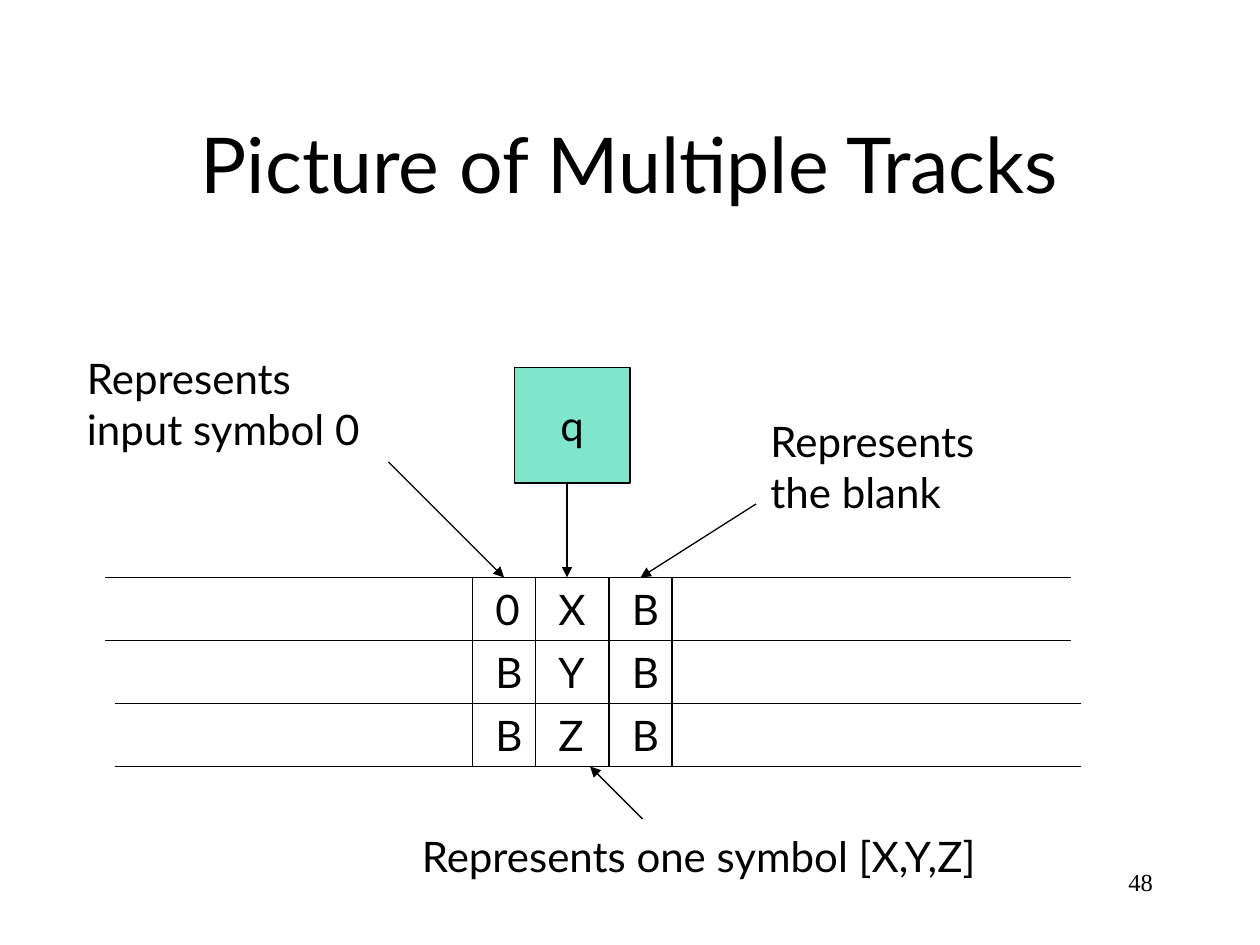
import pptx
import pptx.util
import pptx.dml.color
import pptx.enum.shapes
import pptx.enum.text
import pptx.oxml
import pptx.oxml.ns

HUES = {"ink": "000000", "state": "00CC99"}
UNIT = pptx.util.Inches(1) / 12
ALIGN = pptx.enum.text.PP_ALIGN
ANCHOR = pptx.enum.text.MSO_ANCHOR
FIT = pptx.enum.text.MSO_AUTO_SIZE


def grid(*cells):
    """Turn grid counts (120 columns by 90 rows) into lengths."""
    return [round(cell * UNIT) for cell in cells]


def hue(name):
    """Look up a named colour."""
    return pptx.dml.color.RGBColor.from_string(HUES[name])


def child(node, tag, **attrs):
    """Append a drawing element to an XML node."""
    item = pptx.oxml.ns.qn("a:" + tag)
    item = node.makeelement(item, attrs)
    node.append(item)


def write(shape, text, size=24, font="Lato", align=ALIGN.LEFT,
          anchor=ANCHOR.TOP, wrap=False, fit=FIT.NONE):
    """Fill a shape with formatted lines of text."""
    frame = shape.text_frame
    frame.text = text
    frame.word_wrap = wrap
    frame.auto_size = fit
    frame.vertical_anchor = anchor
    for para in frame.paragraphs:
        para.alignment = align
        para.font.size = pptx.util.Pt(size)
        para.font.name = font
        para.font.color.rgb = hue("ink")


def label(slide, text, *box, **look):
    """Add a text box on the grid."""
    write(slide.shapes.add_textbox(*grid(*box)), text, **look)


def line(slide, *ends, arrow=False):
    """Draw a thin line, with an optional arrowhead at its end."""
    kind = pptx.enum.shapes.MSO_CONNECTOR.STRAIGHT
    link = slide.shapes.add_connector(kind, *grid(*ends))
    link.line.color.rgb = hue("ink")
    link.line.width = pptx.util.Pt(0.75)
    if arrow:
        child(link.line._get_or_add_ln(), "tailEnd", type="triangle")
    child(link._element.spPr, "effectLst")


def state(slide, text, *box):
    """Draw the half-transparent box of the control state."""
    kind = pptx.enum.shapes.MSO_SHAPE.RECTANGLE
    shape = slide.shapes.add_shape(kind, *grid(*box))
    shape.shadow.inherit = False
    shape.fill.solid()
    shape.fill.fore_color.rgb = hue("state")
    tint = shape._element.spPr.find(".//" + pptx.oxml.ns.qn("a:srgbClr"))
    child(tint, "alpha", val="50000")
    shape.line.color.rgb = hue("ink")
    shape.line.width = pptx.util.Pt(0.75)
    write(shape, text, align=ALIGN.CENTER, anchor=ANCHOR.MIDDLE)


def tape(slide, tracks, top=55, step=6):
    """Draw the tracks of the tape and the symbols in their cells."""
    for row, left in enumerate((10, 10, 11, 11)):
        rule = top + row * step
        line(slide, left, rule, left + 92, rule)
    for col in (45, 51, 58, 64):
        line(slide, col, top, col, top + len(tracks) * step)
    for row, track in enumerate(tracks):
        for col, sign in zip((46, 52, 59), track):
            label(slide, sign, col, top + row * step, 4.8, step,
                  fit=FIT.SHAPE_TO_FIT_TEXT)


def main():
    """Build and save the slide."""
    deck = pptx.Presentation()
    deck.slide_width, deck.slide_height = grid(120, 90)
    slide = deck.slides.add_slide(deck.slide_layouts[6])
    label(slide, "Picture of Multiple Tracks", 9, 8, 102, 15, size=44,
          align=ALIGN.CENTER, anchor=ANCHOR.MIDDLE, wrap=True)
    state(slide, "q", 49, 35, 11, 11)
    tape(slide, ("0XB", "BYB", "BZB"))
    notes = (
        ("Represents\ninput symbol 0", 7.1, 33, 30.2, 10.8),
        ("Represents\nthe blank", 72.2, 39, 23.5, 10.8),
        ("Represents one symbol [X,Y,Z]", 39, 78.5, 59, 6),
    )
    for text, *box in notes:
        label(slide, text, *box, fit=FIT.SHAPE_TO_FIT_TEXT)
    arrows = ((54, 46, 54, 55), (37, 44, 48, 55),
              (72, 48, 61, 55), (61.2, 78, 56.2, 73))
    for ends in arrows:
        line(slide, *ends, arrow=True)
    label(slide, "48", 86, 82, 25, 6, size=14, font="Times New Roman",
          align=ALIGN.RIGHT, wrap=True)
    deck.save("out.pptx")


if __name__ == "__main__":
    main()
